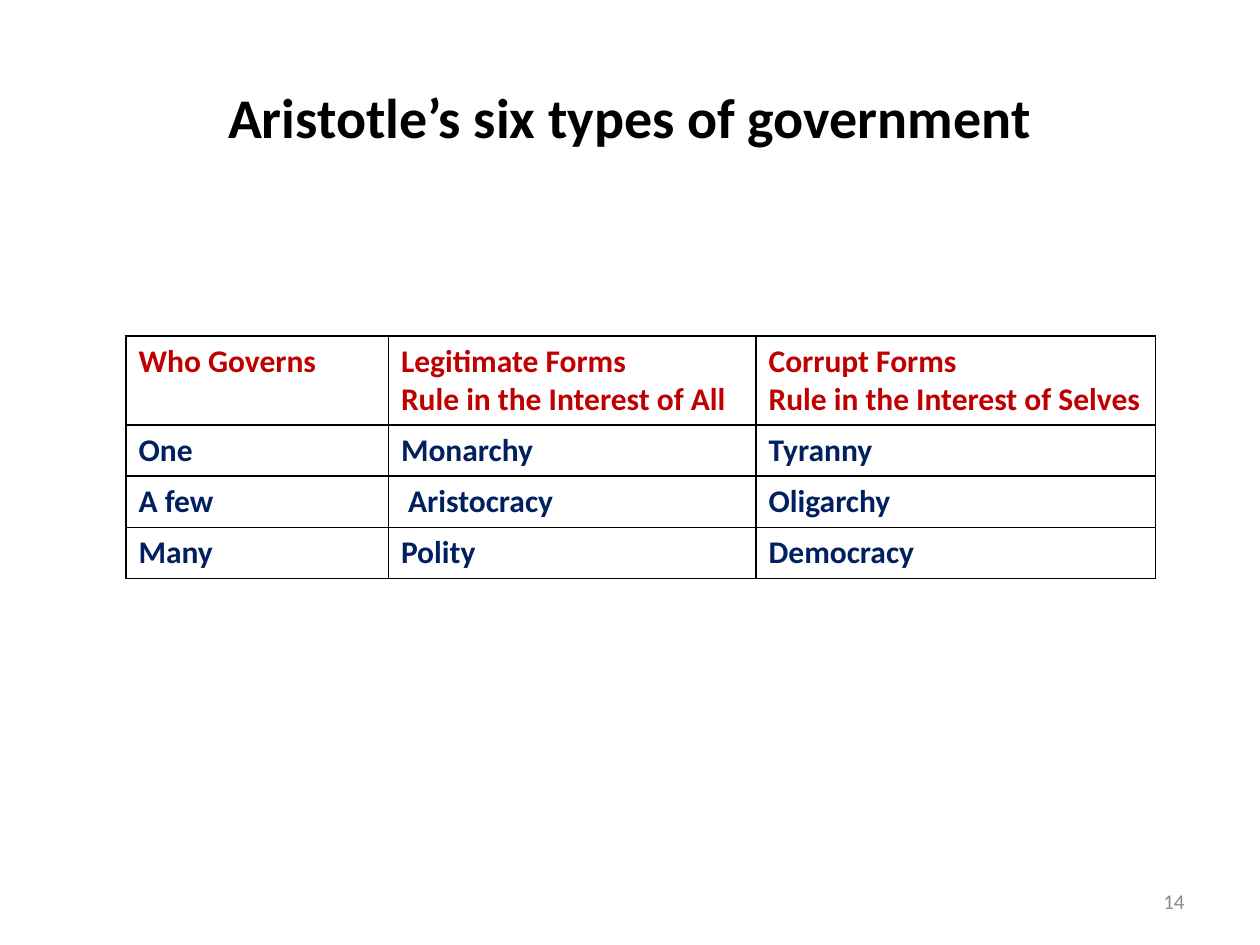
from lxml import etree
from pptx import Presentation
from pptx import util as u
from pptx.dml.color import RGBColor
from pptx.enum import text
from pptx.oxml.ns import qn

FONT = "Calibri"
BLACK, RED, NAVY, GREY = "000000", "C00000", "002060", "8C8C8C"
ROWS = [
    ["Who Governs", "Legitimate Forms\nRule in the Interest of All",
     "Corrupt Forms\nRule in the Interest of Selves"],
    ["One", "Monarchy", "Tyranny"],
    ["A few", " Aristocracy", "Oligarchy"],
    ["Many", "Polity", "Democracy"],
]
COL_WIDTHS = [5.29, 7.41, 8.05]
HEADER_HEIGHT, ROW_HEIGHT = 1.8, 1.03


def rgb(value):
    return RGBColor.from_string(value)


def write(tf, content, size=18, color=BLACK, bold=False,
          align=text.PP_ALIGN.LEFT):
    """Fill a text frame, one paragraph for each line."""
    for i, line in enumerate(content.split("\n")):
        p = tf.paragraphs[0] if i == 0 else tf.add_paragraph()
        p.alignment = align
        r = p.add_run()
        r.text = line
        r.font.name = FONT
        r.font.size = u.Pt(size)
        r.font.bold = bold
        r.font.color.rgb = rgb(color)


def add_text(s, box, content, **fmt):
    sp = s.shapes.add_textbox(*map(u.Cm, box))
    tf = sp.text_frame
    tf.word_wrap = True
    tf.vertical_anchor = text.MSO_ANCHOR.MIDDLE
    write(tf, content, **fmt)


def set_borders(cell, color, width):
    tcPr = cell._tc.get_or_add_tcPr()
    for i, side in enumerate(("a:lnL", "a:lnR", "a:lnT", "a:lnB")):
        ln = etree.Element(qn(side), w=str(u.Pt(width)))
        fill = etree.SubElement(ln, qn("a:solidFill"))
        etree.SubElement(fill, qn("a:srgbClr"), val=color)
        tcPr.insert(i, ln)  # borders come before the cell fill


def add_government_table(s, left, top):
    heights = [HEADER_HEIGHT] + [ROW_HEIGHT] * (len(ROWS) - 1)
    frame = s.shapes.add_table(len(ROWS), len(COL_WIDTHS), u.Cm(left), u.Cm(top),
                               u.Cm(sum(COL_WIDTHS)), u.Cm(sum(heights)))
    table = frame.table
    table.first_row = table.horz_banding = False
    for col, width in zip(table.columns, COL_WIDTHS):
        col.width = u.Cm(width)
    for i, (row, height) in enumerate(zip(table.rows, heights)):
        row.height = u.Cm(height)
        for cell, content in zip(row.cells, ROWS[i]):
            cell.fill.background()
            set_borders(cell, BLACK, 1)
            write(cell.text_frame, content, bold=True,
                  color=RED if i == 0 else NAVY)


def build_slide(prs):
    s = prs.slides.add_slide(prs.slide_layouts[6])
    # Title
    add_text(s, (1.27, 0.76, 22.86, 3.18), "Aristotle’s six types of government",
             size=32, bold=True, align=text.PP_ALIGN.CENTER)
    # Table of governments
    add_government_table(s, 2.54, 6.77)
    # Slide number
    add_text(s, (18.2, 17.65, 5.93, 1.02), "14", size=12, color=GREY,
             align=text.PP_ALIGN.RIGHT)


def main():
    prs = Presentation()
    prs.slide_width, prs.slide_height = u.Cm(25.4), u.Cm(19.05)
    build_slide(prs)
    prs.save("out.pptx")


if __name__ == "__main__":
    main()
